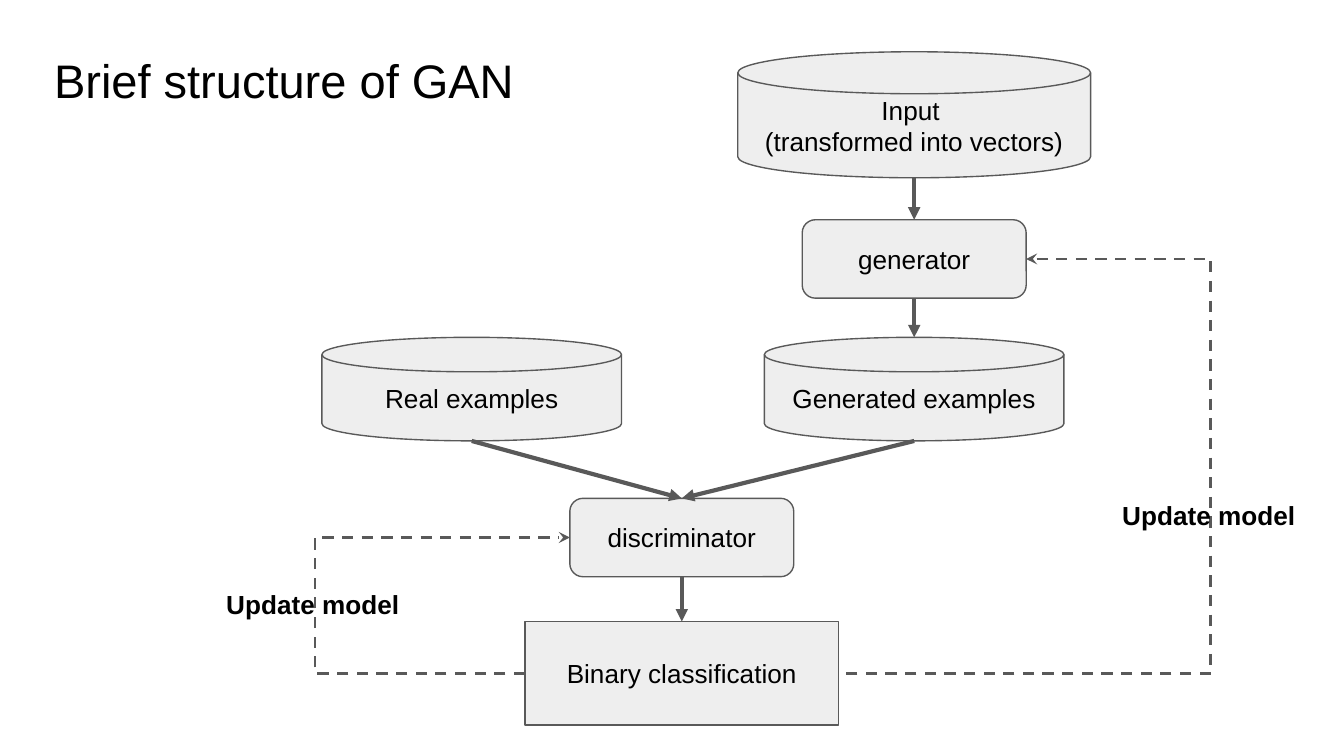
from lxml.etree import SubElement
from pptx import Presentation
from pptx.dml.color import RGBColor
from pptx.enum.dml import MSO_LINE
from pptx.enum.shapes import MSO_CONNECTOR, MSO_SHAPE
from pptx.enum.text import MSO_ANCHOR, MSO_AUTO_SIZE, PP_ALIGN
from pptx.oxml.ns import qn
from pptx.util import Inches, Pt

PX = 9525  # 96 px to the inch
FONT = "Arial"
INK, EDGE, PANEL = "000000", "595959", "EEEEEE"
DISK = MSO_SHAPE.FLOWCHART_MAGNETIC_DISK
ROUNDED = MSO_SHAPE.ROUNDED_RECTANGLE


def px(*lengths):
    return [length * PX for length in lengths]


def color(hex_string):
    return RGBColor.from_string(hex_string)


def write(shape, text, size=14, bold=False, align=PP_ALIGN.CENTER, anchor=MSO_ANCHOR.TOP):
    frame = shape.text_frame
    frame.text = text
    frame.word_wrap = True
    frame.auto_size = MSO_AUTO_SIZE.NONE
    frame.vertical_anchor = anchor
    frame.margin_left = frame.margin_right = Inches(0.1)
    frame.margin_top = frame.margin_bottom = Inches(0.1)
    for paragraph in frame.paragraphs:
        paragraph.alignment = align
        for run in paragraph.runs:
            run.font.name = FONT
            run.font.size = Pt(size)
            run.font.bold = bold
            run.font.color.rgb = color(INK)


def add_title(slide, text, left, top, width, height):
    title = slide.shapes.title
    title.left, title.top, title.width, title.height = px(left, top, width, height)
    write(title, text, size=25.2, align=PP_ALIGN.LEFT)


def add_node(slide, kind, text, left, top, width, height):
    node = slide.shapes.add_shape(kind, *px(left, top, width, height))
    node.shadow.inherit = False
    node.fill.solid()
    node.fill.fore_color.rgb = color(PANEL)
    node.line.color.rgb = color(EDGE)
    node.line.width = Pt(0.75)
    write(node, text, anchor=MSO_ANCHOR.MIDDLE)
    return node


def add_label(slide, text, left, top):
    label = slide.shapes.add_textbox(*px(left, top, 175, 42))
    write(label, text, bold=True)


def site(node, across, down):
    """Point on a node, given as fractions of its width and height."""
    return (node.left + int(node.width * across),
            node.top + int(node.height * down))


def add_line(slide, kind, start, end, width, arrow_end, arrow):
    line = slide.shapes.add_connector(kind, *start, *end)
    line.line.color.rgb = color(EDGE)
    line.line.width = Pt(width)
    properties = line._element.spPr
    SubElement(properties, qn("a:effectLst"))
    SubElement(properties.find(qn("a:ln")), qn(f"a:{arrow_end}"), type=arrow)
    return line


def add_flow(slide, source, target):
    """Solid arrow from the bottom of one node to the top of the next."""
    add_line(slide, MSO_CONNECTOR.STRAIGHT, site(source, 0.5, 1),
             site(target, 0.5, 0), 2.25, "tailEnd", "triangle")


def add_feedback(slide, start, end, turn, arrow_end):
    """Dashed elbow that runs vertically at x = turn."""
    line = add_line(slide, MSO_CONNECTOR.ELBOW, start, end, 1.5, arrow_end, "stealth")
    line.line.dash_style = MSO_LINE.DASH
    bend = round(100000 * (turn * PX - start[0]) / (end[0] - start[0]))
    guides = line._element.spPr.find(qn("a:prstGeom")).find(qn("a:avLst"))
    SubElement(guides, qn("a:gd"), name="adj1", fmla=f"val {bend}")


def main():
    presentation = Presentation()
    presentation.slide_width, presentation.slide_height = px(960, 540)
    slide = presentation.slides.add_slide(presentation.slide_layouts[5])
    add_title(slide, "Brief structure of GAN", 29, 27, 424, 60)

    vectors = add_node(slide, DISK, "Input \n(transformed into vectors)", 527, 37, 252, 90)
    generator = add_node(slide, ROUNDED, "generator", 573, 157, 160, 56)
    generated = add_node(slide, DISK, "Generated examples", 546, 241, 214, 74)
    real = add_node(slide, DISK, "Real examples", 230, 241, 214, 74)
    discriminator = add_node(slide, ROUNDED, "discriminator", 407, 356, 160, 56)
    classification = add_node(slide, MSO_SHAPE.RECTANGLE, "Binary classification",
                              375, 444, 224, 74)

    for source, target in (
        (vectors, generator),
        (generator, generated),
        (real, discriminator),
        (generated, discriminator),
        (discriminator, classification),
    ):
        add_flow(slide, source, target)

    add_feedback(slide, site(generator, 1, 0.5), site(classification, 1, 0.5),
                 865, "headEnd")
    add_feedback(slide, site(classification, 0, 0.5), site(discriminator, 0, 0.5),
                 225, "tailEnd")
    for left, top in ((776, 347), (136, 411)):
        add_label(slide, "Update model", left, top)

    presentation.save("out.pptx")


if __name__ == "__main__":
    main()
